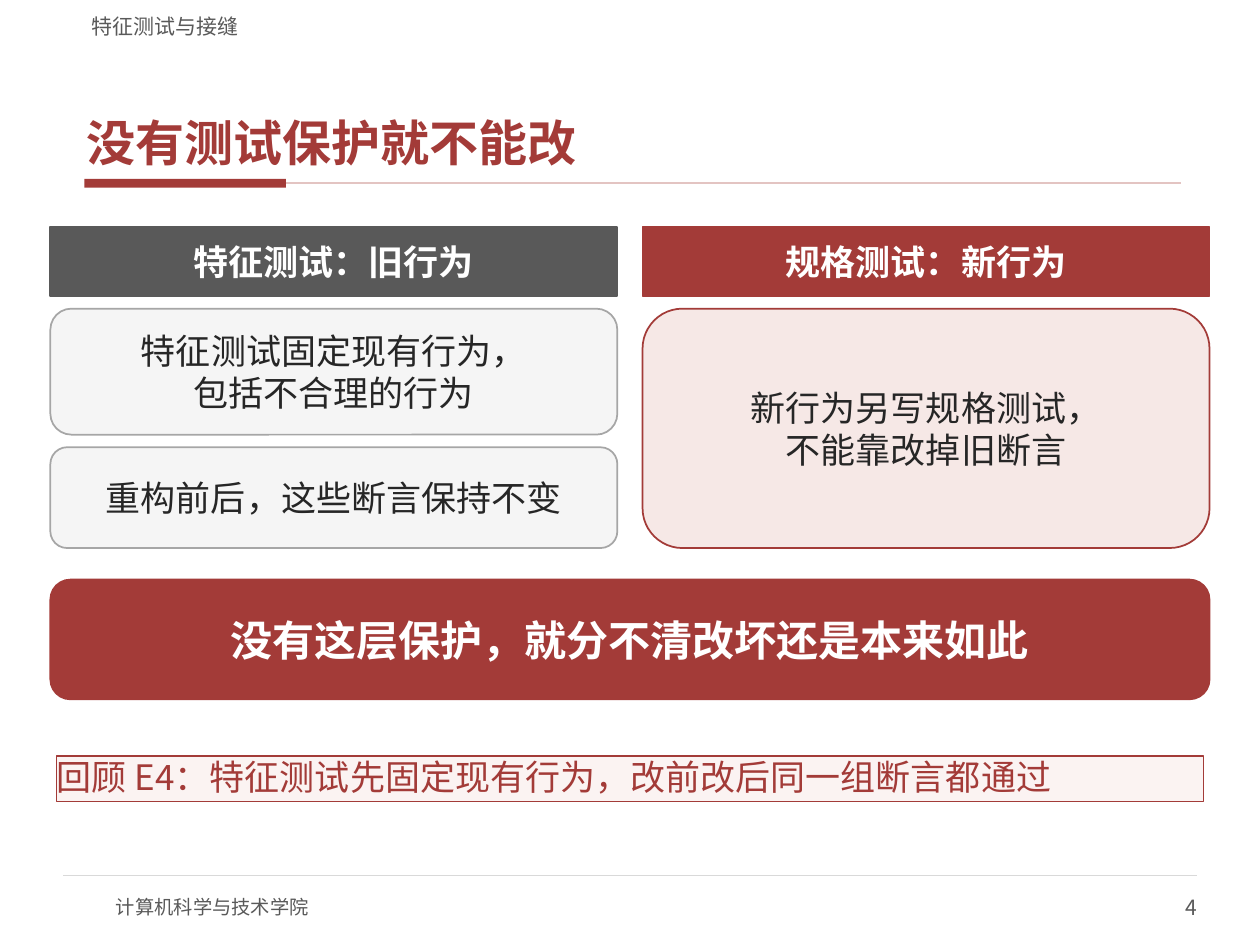
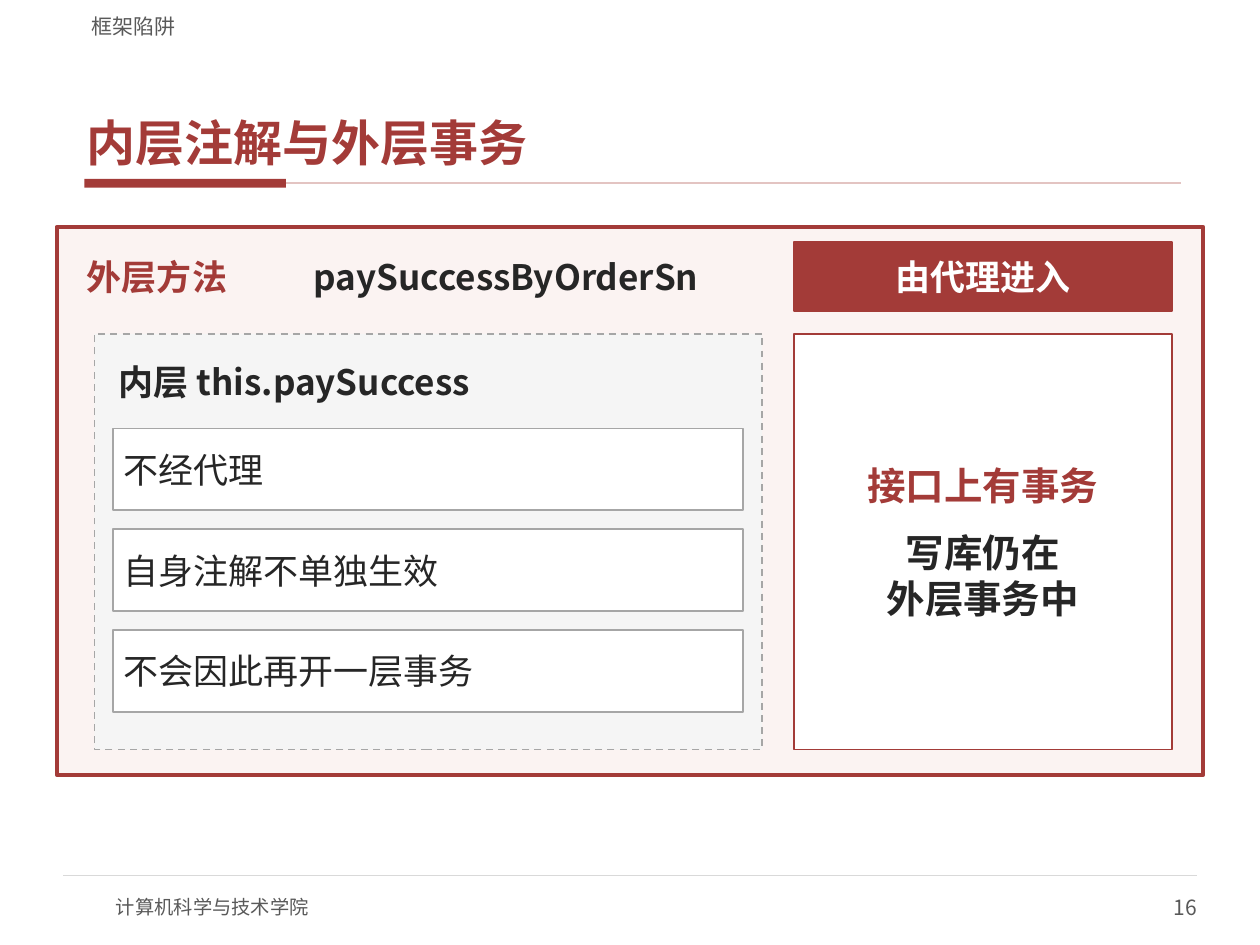
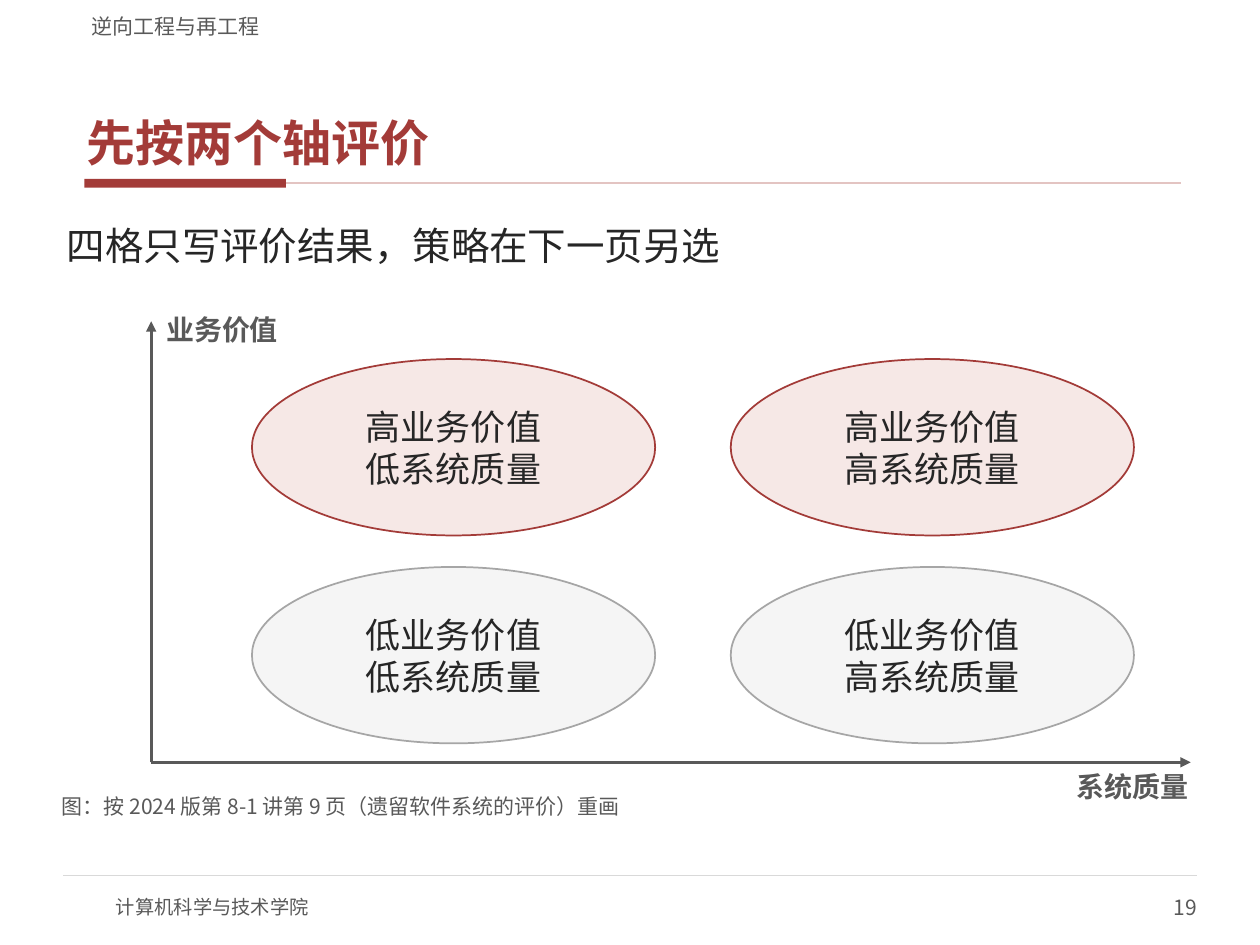
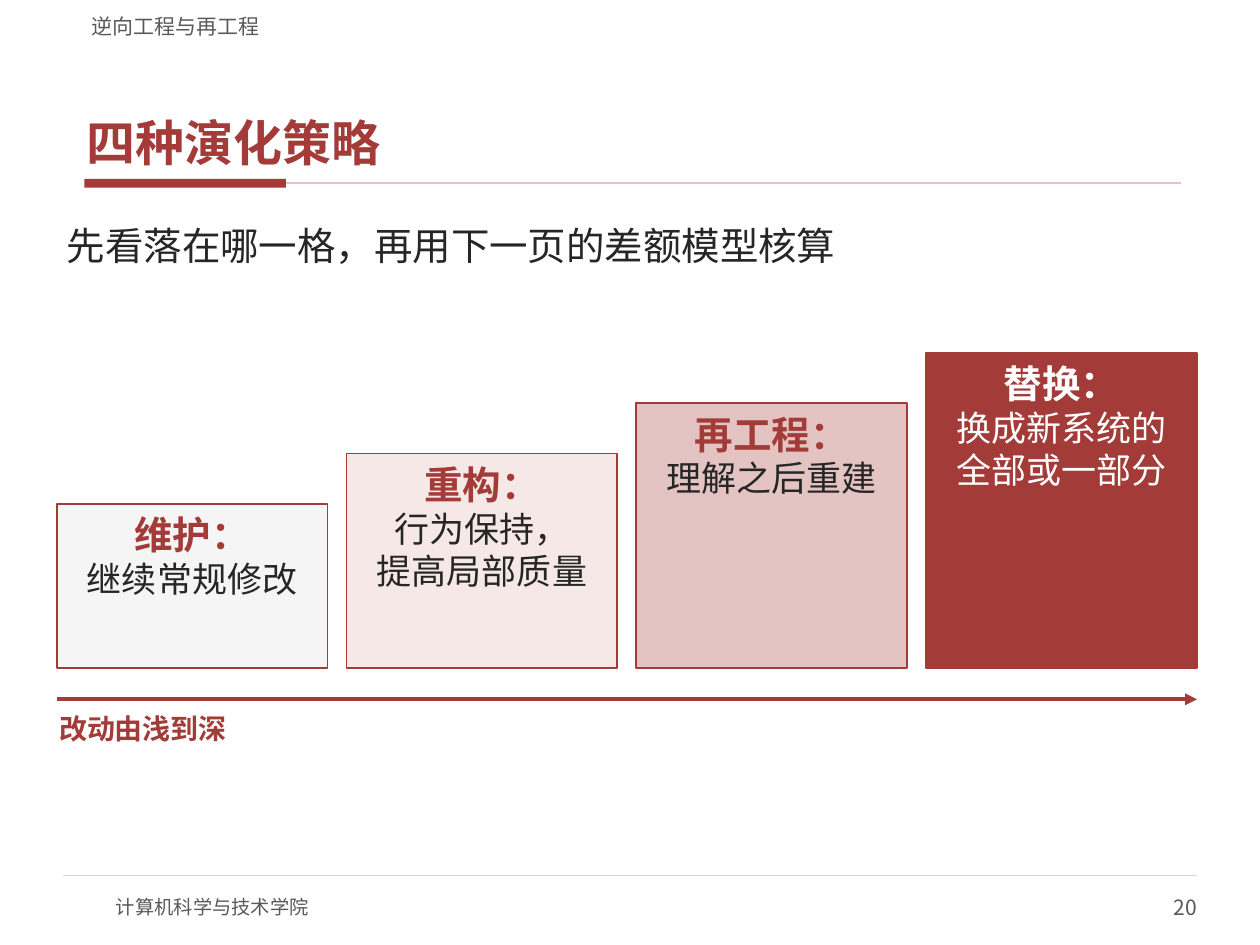
from dataclasses import dataclass

from lxml import etree
from pptx import Presentation
from pptx.dml.color import RGBColor
from pptx.enum.dml import MSO_LINE
from pptx.enum.shapes import MSO_CONNECTOR, MSO_SHAPE as SHAPE
from pptx.enum.text import MSO_ANCHOR as ANCHOR, PP_ALIGN as ALIGN
from pptx.oxml.ns import qn
from pptx.util import Pt

FONT = "Noto Sans CJK SC"
COLORS = {
    "red": "A33B38", "rose": "E3C4C2", "blush": "F6E8E6", "pale": "FBF3F2",
    "gray": "595959", "mid": "A6A6A6", "rule": "D9D9D9", "light": "F5F5F5",
    "ink": "262626", "white": "FFFFFF",
}

# Text insets: horizontal, vertical
NO_INSET = (0, 0)
AXIS_INSET = (1.44, 0.72)
LABEL_INSET = (2.88, 1.44)
TITLE_INSET = (4.32, 1.44)
BLOCK_INSET = (5.76, 2.88)
SECTION_INSET = (7.2, 0)
STEP_INSET = (8.64, 4.32)

# Shared content margins
LEFT, WIDTH, TOP = 32.4, 655.2, 129.6
HEADER_H = 39.6


@dataclass
class Line:
    """One paragraph with its style."""
    text: str
    size: float = 20
    color: str = "ink"
    bold: bool = False
    align: ALIGN = ALIGN.LEFT
    before: float = 0
    after: float = 0


def centered(text, size=20, color="ink", bold=False, before=0):
    return Line(text, size, color, bold, ALIGN.CENTER, before)


def rgb(name):
    return RGBColor.from_string(COLORS[name])


# ---- Element builders ----

def write(sp, lines, anchor, inset):
    tf = sp.text_frame
    tf.word_wrap = True
    tf.vertical_anchor = anchor
    tf.margin_left = tf.margin_right = Pt(inset[0])
    tf.margin_top = tf.margin_bottom = Pt(inset[1])
    for i, line in enumerate(lines):
        p = tf.paragraphs[0] if i == 0 else tf.add_paragraph()
        p.text = line.text
        p.alignment = line.align
        if line.before:
            p.space_before = Pt(line.before)
        if line.after:
            p.space_after = Pt(line.after)
        font = p.font
        font.size, font.bold, font.name = Pt(line.size), line.bold, FONT
        font.color.rgb = rgb(line.color)
        # East Asian typeface next to the Latin one
        latin = p._p.pPr.find(qn("a:defRPr")).find(qn("a:latin"))
        ea = etree.Element(qn("a:ea"), typeface=FONT)
        latin.addnext(ea)


def add_text(slide, box, *lines, anchor=ANCHOR.MIDDLE, inset=LABEL_INSET):
    sp = slide.shapes.add_textbox(*map(Pt, box))
    write(sp, lines, anchor, inset)


def add_block(slide, box, *lines, fill, line, width=1, kind=SHAPE.RECTANGLE,
              anchor=ANCHOR.MIDDLE, inset=BLOCK_INSET, dashed=False):
    sp = slide.shapes.add_shape(kind, *map(Pt, box))
    sp.shadow.inherit = False
    sp.fill.solid()
    sp.fill.fore_color.rgb = rgb(fill)
    if line:
        sp.line.color.rgb = rgb(line)
        sp.line.width = Pt(width)
        if dashed:
            sp.line.dash_style = MSO_LINE.DASH
    else:
        sp.line.fill.background()
    if lines:
        write(sp, lines, anchor, inset)
    return sp


def add_line(slide, start, end, color, width, arrow=False):
    cn = slide.shapes.add_connector(MSO_CONNECTOR.STRAIGHT,
                                    *map(Pt, (*start, *end)))
    cn.line.color.rgb = rgb(color)
    cn.line.width = Pt(width)
    if arrow:
        etree.SubElement(cn.line._get_or_add_ln(), qn("a:tailEnd"),
                         type="triangle")
    etree.SubElement(cn._element.spPr, qn("a:effectLst"))
    return cn


def add_header_block(slide, box, text, color):
    add_block(slide, box, centered(text, color="white", bold=True),
              fill=color, line=color)


def add_lead(slide, text):
    add_text(slide, (LEFT, 123.84, WIDTH, 61.92), Line(text, 22),
             anchor=ANCHOR.TOP, inset=BLOCK_INSET)


def add_axis_label(slide, box, text, color="gray", align=ALIGN.LEFT):
    add_text(slide, box, Line(text, 16, color, True, align), inset=AXIS_INSET)


def new_slide(prs, section, title, number):
    """Blank slide with section name, title, rules and footer."""
    slide = prs.slides.add_slide(prs.slide_layouts[6])
    bar = add_block(slide, (48.24, 102.24, 115.2, 5.04), fill="red", line=None)
    rule = add_line(slide, (163.44, 104.76), (674.64, 104.76), "rose", 1)
    rule.begin_connect(bar, 3)
    add_line(slide, (36, 500.4), (684, 500.4), "rule", 0.75)
    add_text(slide, (66.24, 504, 288, 28.8),
             Line("计算机科学与技术学院", 11, "gray"), inset=NO_INSET)
    add_text(slide, (540, 504, 144, 28.8),
             Line(str(number), 12, "gray", align=ALIGN.RIGHT), inset=NO_INSET)
    add_text(slide, (45.36, 23.76, 630, 75.6),
             Line(title, 28, "red", True, after=2),
             anchor=ANCHOR.BOTTOM, inset=TITLE_INSET)
    add_text(slide, (45.36, 2.88, 630, 19.44), Line(section, 12, "gray"),
             anchor=ANCHOR.BOTTOM, inset=SECTION_INSET)
    return slide


# ---- Slides ----

def build_protection(prs):
    slide = new_slide(prs, "特征测试与接缝", "没有测试保护就不能改", 4)
    old_x, new_x, col_w, body_y = 28.8, 367.2, 324, 176.4

    # Column headers
    add_header_block(slide, (old_x, TOP, col_w, HEADER_H), "特征测试：旧行为", "gray")
    add_header_block(slide, (new_x, TOP, col_w, HEADER_H), "规格测试：新行为", "red")

    # Rounded statements under the headers
    for box, text, fill, line in (
        ((old_x, body_y, col_w, 72),
         "特征测试固定现有行为，\n包括不合理的行为", "light", "mid"),
        ((old_x, 255.6, col_w, 57.6),
         "重构前后，这些断言保持不变", "light", "mid"),
        ((new_x, body_y, col_w, 136.8),
         "新行为另写规格测试，\n不能靠改掉旧断言", "blush", "red"),
    ):
        add_block(slide, box, centered(text), fill=fill, line=line,
                  kind=SHAPE.ROUNDED_RECTANGLE)

    # Conclusion and recap
    add_block(slide, (old_x, 331.2, 662.4, 68.4),
              centered("没有这层保护，就分不清改坏还是本来如此", 24, "white", True),
              fill="red", line="red", kind=SHAPE.ROUNDED_RECTANGLE)
    add_block(slide, (LEFT, 432, WIDTH, 25.92),
              Line("回顾 E4：特征测试先固定现有行为，改前改后同一组断言都通过", color="red"),
              fill="pale", line="red", width=0.75, anchor=ANCHOR.TOP,
              inset=NO_INSET)


def build_transaction(prs):
    slide = new_slide(prs, "框架陷阱", "内层注解与外层事务", 16)
    head_y, body_y, body_h = 138.24, 190.8, 237.6
    proxy_x, proxy_w = 453.6, 216

    # Outer method
    add_block(slide, (LEFT, TOP, WIDTH, 313.2), fill="pale", line="red", width=2.25)
    add_text(slide, (46.8, head_y, 129.6, HEADER_H),
             Line("外层方法", color="red", bold=True))
    add_text(slide, (176.4, head_y, 259.2, HEADER_H),
             Line("paySuccessByOrderSn", bold=True))
    add_header_block(slide, (proxy_x, head_y, proxy_w, HEADER_H), "由代理进入", "red")

    # Inner method and its effects
    add_block(slide, (54, body_y, 381.6, body_h), fill="light", line="mid", dashed=True)
    add_text(slide, (64.8, 198, 360, HEADER_H),
             Line("内层 this.paySuccess", bold=True))
    effects = ("不经代理", "自身注解不单独生效", "不会因此再开一层事务")
    for i, effect in enumerate(effects):
        add_block(slide, (64.8, 244.8 + 57.6 * i, 360, 46.8), Line(effect),
                  fill="white", line="mid")

    # Result of entering through the proxy
    add_block(slide, (proxy_x, body_y, proxy_w, body_h),
              centered("接口上有事务", 22, "red", True),
              centered("写库仍在\n外层事务中", 22, bold=True, before=12),
              fill="white", line="red")


def build_quadrants(prs):
    slide = new_slide(prs, "逆向工程与再工程", "先按两个轴评价", 19)
    add_lead(slide, "四格只写评价结果，策略在下一页另选")

    # Axes
    origin = (86.4, 435.6)
    add_line(slide, origin, (origin[0], 183.6), "gray", 1.5, arrow=True)
    add_line(slide, origin, (680.4, origin[1]), "gray", 1.5, arrow=True)
    add_axis_label(slide, (93.6, 176.4, 108, 23.04), "业务价值")
    add_axis_label(slide, (576, 437.76, 104.4, 23.04), "系统质量", align=ALIGN.RIGHT)

    # Quadrants: value by row, quality by column
    rows = (("高", "blush", "red"), ("低", "light", "mid"))
    for r, (value, fill, line) in enumerate(rows):
        for c, quality in enumerate("低高"):
            add_block(slide, (144 + 273.6 * c, 205.2 + 118.8 * r, 230.4, 100.8),
                      centered(f"{value}业务价值"), centered(f"{quality}系统质量"),
                      fill=fill, line=line, kind=SHAPE.OVAL)

    # Caption
    add_text(slide, (LEFT, 453.6, WIDTH, 15.84),
             Line("图：按 2024 版第 8-1 讲第 9 页（遗留软件系统的评价）重画", 12, "gray"),
             anchor=ANCHOR.BOTTOM)


def build_strategies(prs):
    slide = new_slide(prs, "逆向工程与再工程", "四种演化策略", 20)
    add_lead(slide, "先看落在哪一格，再用下一页的差额模型核算")

    # Steps rising from a common base
    base_y = 381.6
    steps = (
        ("维护：", "继续常规修改", "light", "red", "ink"),
        ("重构：", "行为保持，\n提高局部质量", "blush", "red", "ink"),
        ("再工程：", "理解之后重建", "rose", "red", "ink"),
        ("替换：", "换成新系统的\n全部或一部分", "red", "white", "white"),
    )
    for i, (name, detail, fill, name_color, detail_color) in enumerate(steps):
        height = 93.6 + 28.8 * i
        add_block(slide, (LEFT + 165.6 * i, base_y - height, 154.8, height),
                  centered(name, 22, name_color, True),
                  centered(detail, color=detail_color),
                  fill=fill, line="red", anchor=ANCHOR.TOP, inset=STEP_INSET)

    # Depth of change
    add_line(slide, (LEFT, 399.6), (684, 399.6), "red", 2.25, arrow=True)
    add_axis_label(slide, (LEFT, 404.64, 288, 23.04), "改动由浅到深", "red")


def main():
    prs = Presentation()
    prs.slide_width, prs.slide_height = Pt(720), Pt(540)
    for build in (build_protection, build_transaction,
                  build_quadrants, build_strategies):
        build(prs)
    prs.save("out.pptx")


if __name__ == "__main__":
    main()
